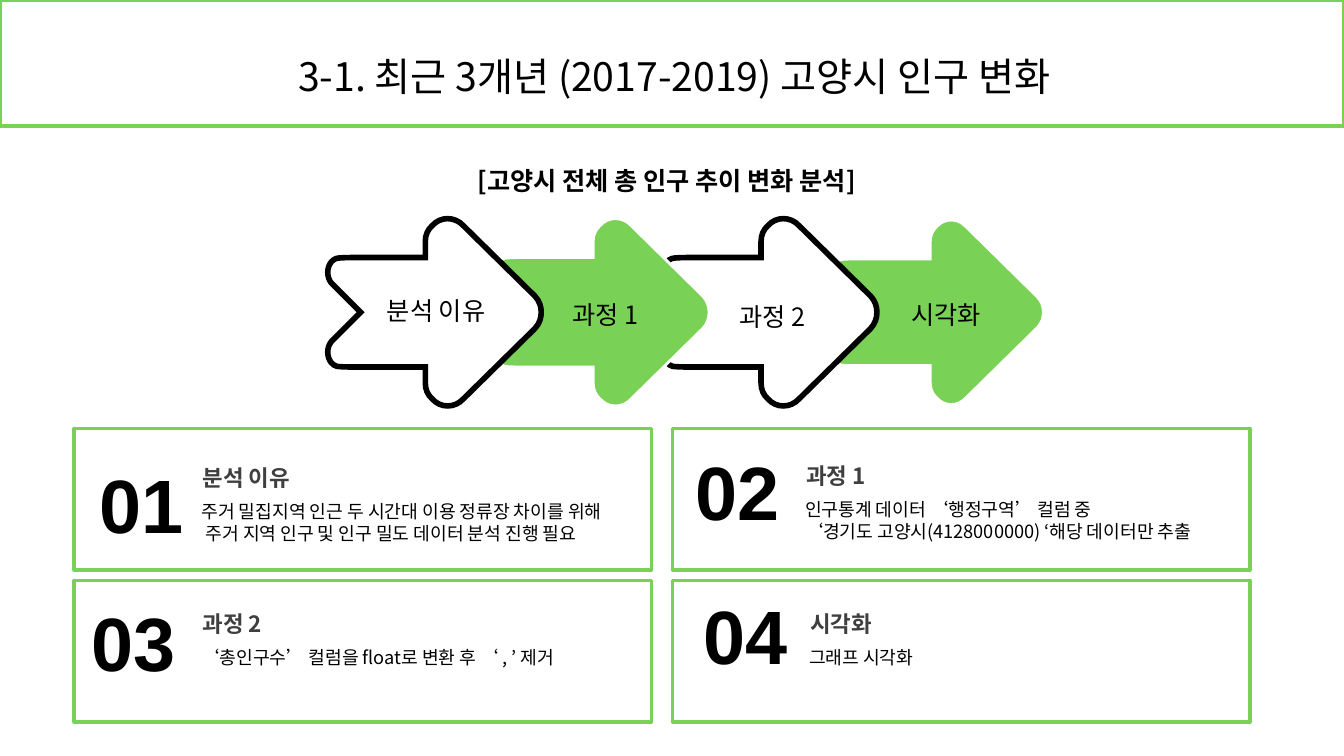
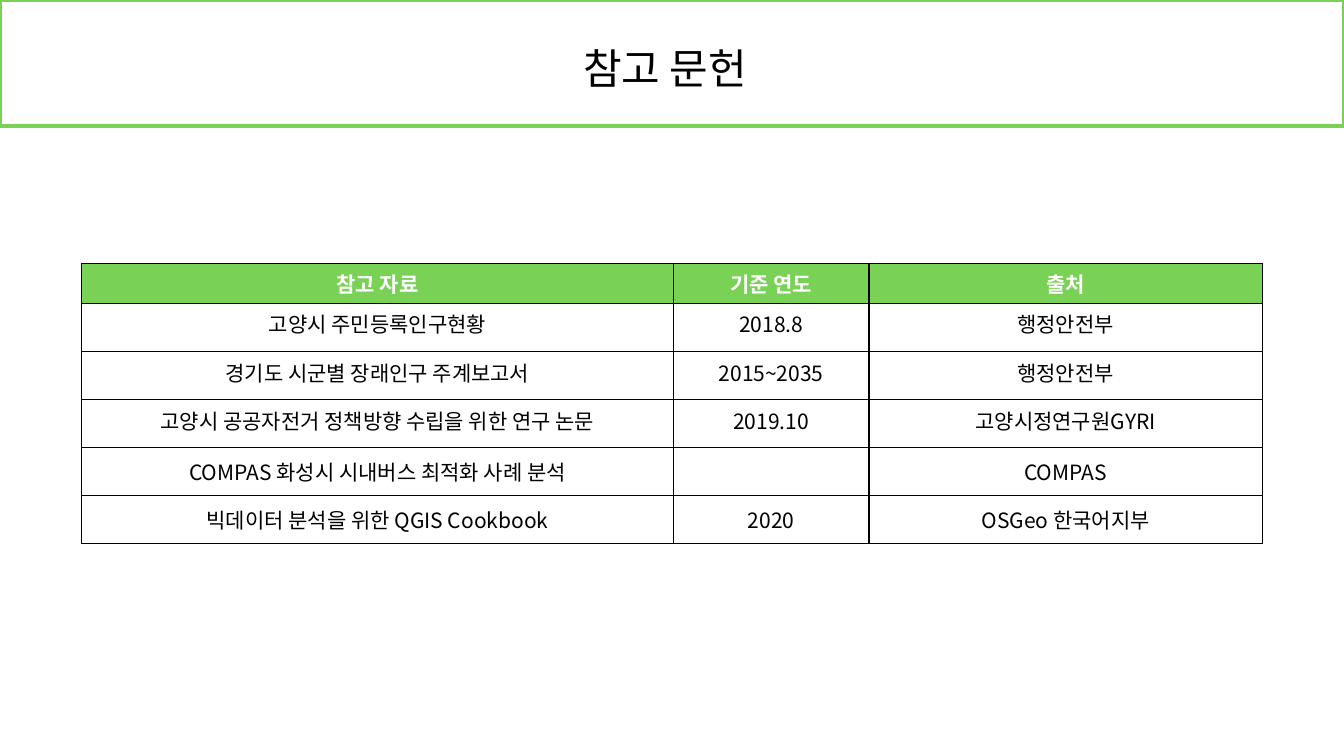
from lxml import etree
from pptx import Presentation
from pptx.dml.color import RGBColor
from pptx.enum.shapes import MSO_SHAPE
from pptx.enum.text import MSO_ANCHOR, PP_ALIGN
from pptx.oxml.ns import qn
from pptx.util import Cm, Pt

RECT = MSO_SHAPE.RECTANGLE
TOP, MIDDLE = MSO_ANCHOR.TOP, MSO_ANCHOR.MIDDLE
LEFT, CENTER, RIGHT = PP_ALIGN.LEFT, PP_ALIGN.CENTER, PP_ALIGN.RIGHT

# Style
GREEN, BLACK, WHITE, GRAY = "79D155", "000000", "FFFFFF", "3F3F3F"
KOREAN, DIGITS = "Noto Sans CJK KR", "Arial"
WIDTH, HEIGHT = 33.87, 19.05
INSETS = (0.25, 0.13, 0.25, 0.13)
CARD_INSETS = (0, 0.13, 0.25, 0.13)

# Upper half of the arrow in cm, from the tail notch to the tip:
# one point is a line, three points are a curve
ARROW_START = (0.99, 0)
ARROW_HALF = [
    [(0.25, -0.74)],
    [(0.13, -0.89), (0.13, -1.12), (0.25, -1.27)],
    [(0.36, -1.37), (0.33, -1.37), (0.76, -1.38)],
    [(2.62, -1.38)],
    [(2.62, -1.78)],
    [(2.62, -1.95), (2.68, -2.08), (2.79, -2.18)],
    [(2.9, -2.3), (3.03, -2.36), (3.18, -2.36)],
    [(3.33, -2.36), (3.47, -2.3), (3.58, -2.18)],
    [(5.38, -0.41)],
    [(5.5, -0.28), (5.54, -0.14), (5.54, 0)],
]


def rgb(value):
    return RGBColor.from_string(value)


def arrow_points():
    """Points and control points, with the upper half mirrored downwards."""
    upper = [ARROW_START] + [point for segment in ARROW_HALF for point in segment]
    return upper + [(x, -y) for x, y in upper[-2::-1]]


def bend(sp):
    """Join the lines that hold control points into curves."""
    lines = iter(sp._element.findall(".//" + qn("a:lnTo")))
    for segment in ARROW_HALF + ARROW_HALF[::-1]:
        group = [next(lines) for _ in segment]
        if len(group) == 3:
            curve = etree.Element(qn("a:cubicBezTo"))
            group[0].addprevious(curve)
            for line in group:
                curve.append(line[0])
                line.getparent().remove(line)


class Deck:
    def __init__(self):
        self.prs = Presentation()
        self.prs.slide_width, self.prs.slide_height = Cm(WIDTH), Cm(HEIGHT)
        self.s = None

    def slide(self, title, size, cx, cy):
        """Start a slide with the framed title band."""
        self.s = self.prs.slides.add_slide(self.prs.slide_layouts[6])
        self.frame(0, 0, WIDTH, 3.18)
        self.text(cx - 11, cy - 1, 22, 2, [title], size, align=CENTER, anchor=MIDDLE)

    def run(self, p, text, size, color=BLACK, bold=False, font=KOREAN):
        r = p.add_run()
        r.text = text
        f = r.font
        f.size, f.bold, f.name = Pt(size), bold, font
        f.color.rgb = rgb(color)

    def text(self, x, y, w, h, lines, size, color=BLACK, bold=False, font=KOREAN,
             align=LEFT, anchor=TOP, insets=INSETS):
        tf = self.s.shapes.add_textbox(Cm(x), Cm(y), Cm(w), Cm(h)).text_frame
        tf.word_wrap, tf.vertical_anchor = True, anchor
        (tf.margin_left, tf.margin_top,
         tf.margin_right, tf.margin_bottom) = map(Cm, insets)
        for i, line in enumerate(lines):
            p = tf.add_paragraph() if i else tf.paragraphs[0]
            p.alignment = align
            self.run(p, line, size, color, bold, font)

    def frame(self, x, y, w, h):
        sp = self.s.shapes.add_shape(RECT, Cm(x), Cm(y), Cm(w), Cm(h))
        sp.shadow.inherit = False
        sp.fill.background()
        sp.line.color.rgb, sp.line.width = rgb(GREEN), Pt(2.75)

    def arrow(self, x, cy, fill, line, width):
        points = [(Cm(x + dx), Cm(cy + dy)) for dx, dy in arrow_points()]
        builder = self.s.shapes.build_freeform(*points[0])
        builder.add_line_segments(points[1:], close=True)
        sp = builder.convert_to_shape()
        bend(sp)
        sp.shadow.inherit = False
        sp.fill.solid()
        sp.fill.fore_color.rgb = rgb(fill)
        sp.line.color.rgb, sp.line.width = rgb(line), Pt(width)
        ln = sp._element.spPr.find(qn("a:ln"))
        etree.SubElement(ln, qn("a:miter"), lim="800000")

    def card(self, x, y, number, number_at, heading, heading_at, lines):
        hx, hy = heading_at
        self.text(*number_at, 2.39, 2.31, [number], 54, bold=True, font=DIGITS,
                  align=RIGHT, anchor=MIDDLE, insets=(0, 0, 0, 0))
        self.text(hx, hy, 11.3, 0.76, [heading], 16, GRAY, True,
                  anchor=MIDDLE, insets=CARD_INSETS)
        self.text(hx - 0.03, hy + 0.81, 11.3, 1.8, lines, 13, insets=CARD_INSETS)
        self.frame(x, y, 14.55, 3.56)

    def borders(self, cell):
        tc_pr = cell._tc.get_or_add_tcPr()
        for i, side in enumerate(("a:lnL", "a:lnR", "a:lnT", "a:lnB")):
            ln = etree.Element(qn(side), w=str(Pt(1)))
            fill = etree.SubElement(ln, qn("a:solidFill"))
            etree.SubElement(fill, qn("a:srgbClr"), val=BLACK)
            tc_pr.insert(i, ln)

    def table(self, x, y, widths, heights, rows, middle_from):
        tbl = self.s.shapes.add_table(len(rows), len(widths), Cm(x), Cm(y),
                                      Cm(sum(widths)), Cm(sum(heights))).table
        tbl.first_row = tbl.horz_banding = False
        for column, w in zip(tbl.columns, widths):
            column.width = Cm(w)
        for i, (row, h) in enumerate(zip(rows, heights)):
            tbl.rows[i].height = Cm(h)
            for j, value in enumerate(row):
                cell = tbl.cell(i, j)
                cell.fill.solid()
                cell.fill.fore_color.rgb = rgb(WHITE if i else GREEN)
                cell.vertical_anchor = MIDDLE if i >= middle_from else TOP
                self.borders(cell)
                if value:
                    p = cell.text_frame.paragraphs[0]
                    p.alignment = CENTER
                    self.run(p, value, 15, BLACK if i else WHITE, bold=not i)


def population_slide(deck):
    deck.slide("3-1. 최근 3개년 (2017-2019) 고양시 인구 변화", 28, 16.99, 1.9)

    # Process arrows, the leftmost in front
    arrows = [(WHITE, BLACK, 4), (GREEN, WHITE, 2), (WHITE, BLACK, 4), (GREEN, WHITE, 4)]
    for i, style in reversed(list(enumerate(arrows))):
        deck.arrow(8.1 + 4.23 * i, 7.87, *style)
    deck.text(11.79, 4.04, 10.31, 1.02, ["[고양시 전체 총 인구 추이 변화 분석]"], 18, bold=True)
    steps = ["분석 이유", "과정 1", "과정 2", "시각화"]
    places = [(9.5, 7.32), (14.17, 7.42), (18.39, 7.47), (22.71, 7.42)]
    for step, (x, y) in zip(steps, places):
        deck.text(x, y, 3.2, 1.02, [step], 18)

    # Step cards: number place, heading place, body
    cards = [
        ((2.24, 11.53), (5.11, 11.66),
         ["주거 밀집지역 인근 두 시간대 이용 정류장 차이를 위해",
          " 주거 지역 인구 및 인구 밀도 데이터 분석 진행 필요"]),
        ((17.25, 11.2), (20.32, 11.61),
         ["인구통계 데이터 ‘행정구역’ 컬럼 중",
          "‘경기도 고양시(4128000000) ‘해당 데이터만 추출"]),
        ((2.03, 15.01), (5.11, 15.34),
         ["‘총인구수’ 컬럼을 float로 변환 후 ‘ , ’ 제거"]),
        ((17.45, 14.83), (20.42, 15.34), ["그래프 시각화"]),
    ]
    for i, (step, (number_at, heading_at, lines)) in enumerate(zip(steps, cards)):
        row, col = divmod(i, 2)
        deck.card(1.87 + 15.08 * col, 10.8 + 3.83 * row, f"{i + 1:02}", number_at,
                  step, heading_at, lines)


def references_slide(deck):
    deck.slide("참고 문헌", 30, 16.76, 1.7)
    rows = [
        ("참고 자료", "기준 연도", "출처"),
        ("고양시 주민등록인구현황", "2018.8", "행정안전부"),
        ("경기도 시군별 장래인구 주계보고서", "2015~2035", "행정안전부"),
        ("고양시 공공자전거 정책방향 수립을 위한 연구 논문", "2019.10", "고양시정연구원GYRI"),
        ("COMPAS 화성시 시내버스 최적화 사례 분석", "", "COMPAS"),
        ("빅데이터 분석을 위한 QGIS Cookbook", "2020", "OSGeo 한국어지부"),
    ]
    deck.table(2.06, 6.63, [14.91, 4.93, 9.91], [1.02] + [1.21] * 5, rows, middle_from=4)


def main():
    deck = Deck()
    population_slide(deck)
    references_slide(deck)
    deck.prs.save("out.pptx")


if __name__ == "__main__":
    main()
